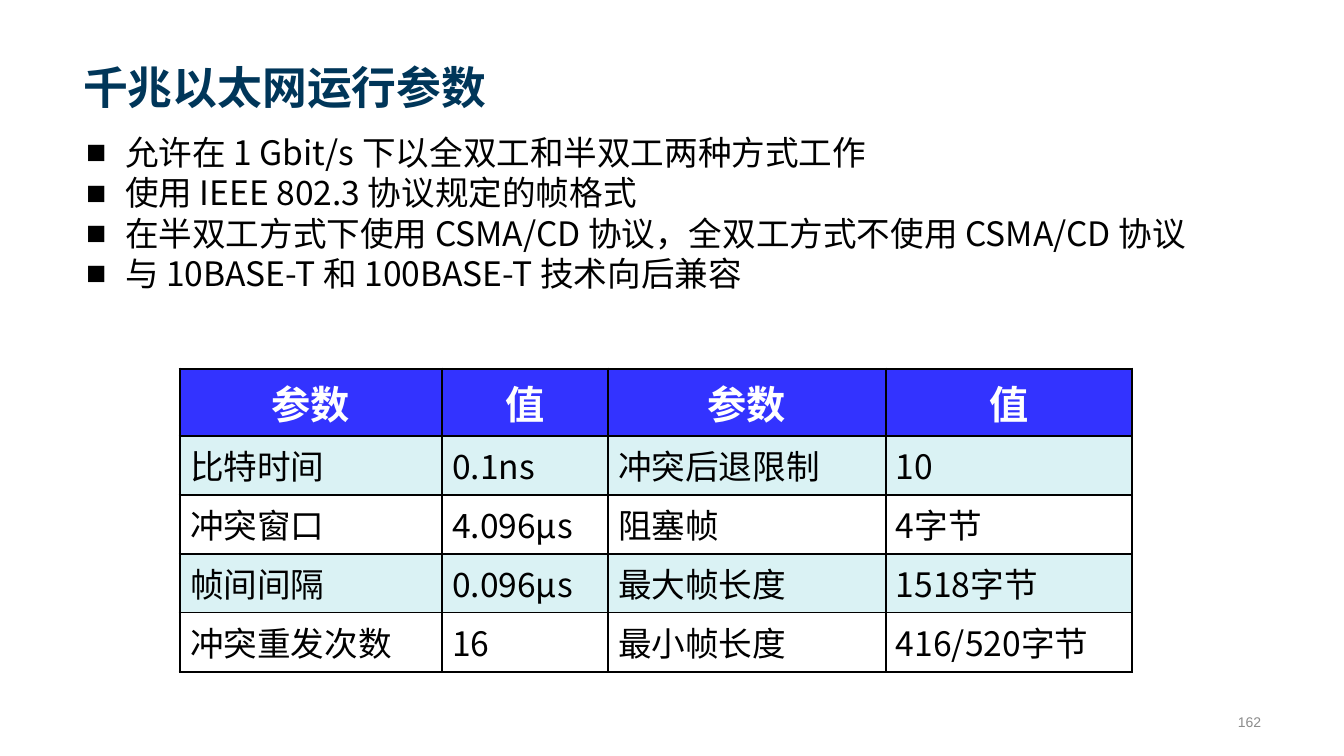
from lxml.etree import SubElement
from pptx import Presentation
from pptx.dml.color import RGBColor
from pptx.enum.text import MSO_ANCHOR as Anchor, MSO_AUTO_SIZE as AutoSize, PP_ALIGN as Align
from pptx.oxml.ns import qn
from pptx.util import Pt

PX = 914400 / 100.8
COLORS = {
    "title": "003659",
    "text": "000000",
    "number": "8C8C8C",
    "header_text": "FFFFFF",
    "header": "3333FF",
    "band": "DAF2F4",
    "border": "000000",
}
SANS = "Noto Sans CJK SC"

TITLE = "千兆以太网运行参数"
POINTS = [
    "允许在 1 Gbit/s 下以全双工和半双工两种方式工作",
    "使用 IEEE 802.3 协议规定的帧格式",
    "在半双工方式下使用 CSMA/CD 协议，全双工方式不使用 CSMA/CD 协议",
    "与 10BASE-T 和 100BASE-T 技术向后兼容",
]
PARAMETERS = [
    ["参数", "值", "参数", "值"],
    ["比特时间", "0.1ns", "冲突后退限制", "10"],
    ["冲突窗口", "4.096μs", "阻塞帧", "4字节"],
    ["帧间间隔", "0.096μs", "最大帧长度", "1518字节"],
    ["冲突重发次数", "16", "最小帧长度", "416/520字节"],
]
COLUMN_WIDTHS = [262, 166, 278, 246]
HEADER_HEIGHT, ROW_HEIGHT = 67, 59


def px(length):
    return round(length * PX)


def set_all(target, values):
    for name, value in values.items():
        setattr(target, name, value)


def place(shape, box):
    set_all(shape, dict(zip(("left", "top", "width", "height"), map(px, box))))


def write(paragraph, text, size, color, bold=False, font=SANS, align=Align.LEFT):
    set_all(paragraph, {"alignment": align, "space_before": Pt(0)})
    run = paragraph.add_run()
    run.text = text
    set_all(run.font, {"size": Pt(size), "bold": bold, "name": font})
    run.font.color.rgb = RGBColor.from_string(COLORS[color])
    SubElement(run.font._element, qn("a:ea"), typeface=font)


def add_bullet(paragraph, indent):
    properties = paragraph._p.get_or_add_pPr()
    properties.set("marL", str(px(indent)))
    properties.set("indent", str(-px(indent)))
    SubElement(properties, qn("a:buFont"), typeface="Arial")
    SubElement(properties, qn("a:buChar"), char="■")


def add_borders(cell, widths):
    properties = cell._tc.get_or_add_tcPr()
    for side, width in widths.items():
        line = SubElement(properties, qn(f"a:ln{side}"), w=str(Pt(width)))
        fill = SubElement(line, qn("a:solidFill"))
        SubElement(fill, qn("a:srgbClr"), val=COLORS["border"])


def build_title(slide, box):
    title = slide.shapes.title
    place(title, box)
    set_all(title.text_frame, {
        "auto_size": AutoSize.NONE,
        "vertical_anchor": Anchor.BOTTOM,
        "margin_bottom": 0,
    })
    write(title.text_frame.paragraphs[0], TITLE, 32, "title", bold=True)


def build_points(slide, box):
    body = slide.placeholders[1]
    place(body, box)
    frame = body.text_frame
    set_all(frame, {
        "auto_size": AutoSize.NONE,
        "vertical_anchor": Anchor.TOP,
        "margin_top": px(8),
    })
    for index, point in enumerate(POINTS):
        paragraph = frame.add_paragraph() if index else frame.paragraphs[0]
        add_bullet(paragraph, 39)
        paragraph.line_spacing = 1.0
        write(paragraph, point, 24, "text")


def build_table(slide, box):
    row_count, column_count = len(PARAMETERS), len(COLUMN_WIDTHS)
    frame = slide.shapes.add_table(row_count, column_count, *map(px, box))
    table = frame.table
    table.horz_banding = False
    for column, width in zip(table.columns, COLUMN_WIDTHS):
        column.width = px(width)
    for row_index, values in enumerate(PARAMETERS):
        is_header = row_index == 0
        table.rows[row_index].height = px(HEADER_HEIGHT if is_header else ROW_HEIGHT)
        for column_index, value in enumerate(values):
            cell = table.cell(row_index, column_index)
            outer = {
                "L": column_index == 0,
                "R": column_index == column_count - 1,
                "T": is_header,
                "B": row_index == row_count - 1,
            }
            add_borders(cell, {side: 2.25 if edge else 1 for side, edge in outer.items()})
            if is_header or row_index % 2:
                cell.fill.solid()
                color = COLORS["header" if is_header else "band"]
                cell.fill.fore_color.rgb = RGBColor.from_string(color)
            else:
                cell.fill.background()
            paragraph = cell.text_frame.paragraphs[0]
            if is_header:
                write(paragraph, value, 28, "header_text", bold=True, align=Align.CENTER)
            else:
                write(paragraph, value, 24, "text")


def build_number(slide, box):
    frame = slide.shapes.add_textbox(*map(px, box)).text_frame
    set_all(frame, {"word_wrap": True, "vertical_anchor": Anchor.MIDDLE})
    write(frame.paragraphs[0], "162", 10, "number", font="Arial", align=Align.RIGHT)


def main():
    presentation = Presentation()
    set_all(presentation, {"slide_width": px(1344), "slide_height": px(756)})
    slide = presentation.slides.add_slide(presentation.slide_layouts[1])
    build_title(slide, (73, 14, 1198, 99))
    build_number(slide, (1182, 707, 89, 30))
    table_height = HEADER_HEIGHT + ROW_HEIGHT * (len(PARAMETERS) - 1)
    build_table(slide, (180, 369, sum(COLUMN_WIDTHS), table_height))
    build_points(slide, (76, 124, 1195, 202))
    presentation.save("out.pptx")


if __name__ == "__main__":
    main()
